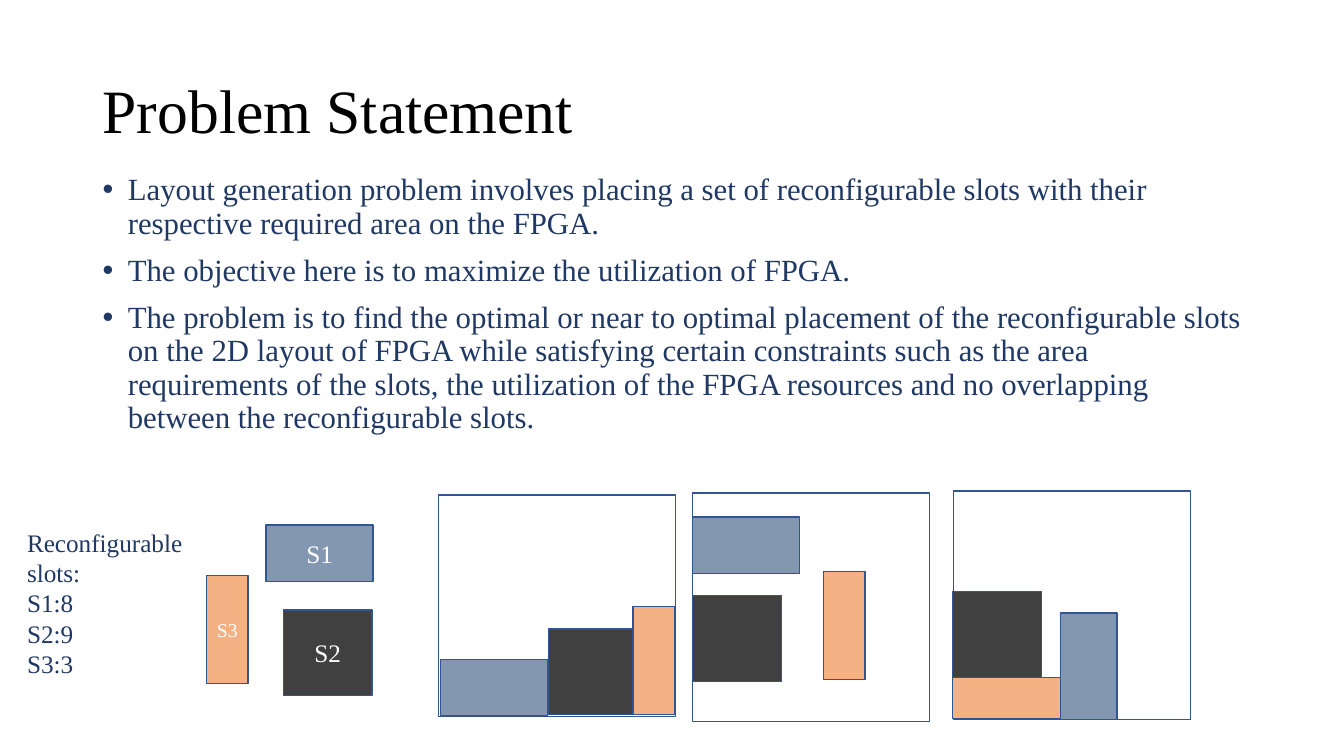
from lxml import etree
from pptx import Presentation, util as u
from pptx.dml.color import RGBColor
from pptx.enum import shapes, text
from pptx.oxml.ns import qn

PX = 9144
NAVY = "203864"
WHITE = "FFFFFF"
SLOTS = {
    "S1": (106, 56, "8497B0", 18),
    "S2": (88, 85, "404040", 18),
    "S3": (41, 107, "F4B183", 14),
}


def color(value):
    return RGBColor.from_string(value)


def write(tf, lines, size, ink, align=text.PP_ALIGN.LEFT,
          anchor=text.MSO_ANCHOR.TOP, spacing=1.0, before=0, bullet=False, wrap=True):
    tf.word_wrap = wrap
    tf.vertical_anchor = anchor
    for i, line in enumerate(lines):
        p = tf.paragraphs[0] if i == 0 else tf.add_paragraph()
        p.alignment = align
        p.line_spacing = spacing
        p.space_before = u.Pt(before)
        if bullet:
            pPr = p._p.get_or_add_pPr()
            pPr.set("marL", str(25 * PX))
            pPr.set("indent", str(-25 * PX))
            etree.SubElement(pPr, qn("a:buFont")).set("typeface", "Arial")
            etree.SubElement(pPr, qn("a:buChar")).set("char", "•")
        r = p.add_run()
        r.text = line
        r.font.name = "Times New Roman"
        r.font.size = u.Pt(size)
        r.font.color.rgb = color(ink)


prs = Presentation()
prs.slide_width, prs.slide_height = 1333 * PX, 750 * PX
s = prs.slides.add_slide(prs.slide_layouts[6])

bullets = [
    "Layout generation problem involves placing a set of reconfigurable slots with their respective required area on the FPGA.",
    "The objective here is to maximize the utilization of FPGA.",
    "The problem is to find the optimal or near to optimal placement of the reconfigurable slots on the 2D layout of FPGA while satisfying certain constraints such as the area requirements of the slots, the utilization of the FPGA resources and no overlapping between the reconfigurable slots.",
]
areas = ["Reconfigurable slots:", "S1:8", "S2:9", "S3:3"]

texts = [
    ((92, 40, 1150, 145), ["Problem Statement"], 44, "000000",
     dict(anchor=text.MSO_ANCHOR.MIDDLE, spacing=0.9)),
    ((92, 168, 1150, 476), bullets, 22, NAVY,
     dict(spacing=0.9, before=10, bullet=True)),
    ((17, 518, 184, 162), areas, 18, NAVY, {}),
]
for box, lines, size, ink, style in texts:
    tb = s.shapes.add_textbox(*[v * PX for v in box])
    write(tb.text_frame, lines, size, ink, **style)

frames = [(435, 491, 235, 220), (687, 489, 235, 227), (946, 487, 235, 227)]
legend = [("S1", 264, 521, 0), ("S2", 281, 605, 0), ("S3", 205, 571, 0)]
placed = [
    ("S1", 437, 654, 0), ("S2", 544, 624, 0), ("S3", 628, 602, 0),
    ("S1", 687, 513, 0), ("S2", 687, 591, 0), ("S3", 817, 567, 0),
    ("S3", 978, 639, 270), ("S2", 945, 587, 0), ("S1", 1027, 633, 270),
]

rects = [(box, None, 0, None) for box in frames]
for name, x, y, turn in legend + placed:
    w, h, fill, size = SLOTS[name]
    label = (name, size) if (name, x, y, turn) in legend else None
    rects.append(((x, y, w, h), fill, turn, label))

for box, fill, turn, label in rects:
    sp = s.shapes.add_shape(shapes.MSO_SHAPE.RECTANGLE, *[v * PX for v in box])
    sp.shadow.inherit = False
    sp.rotation = turn
    sp.line.color.rgb = color("325491")
    sp.line.width = u.Pt(1)
    if fill:
        sp.fill.solid()
        sp.fill.fore_color.rgb = color(fill)
    else:
        sp.fill.background()
    if label:
        write(sp.text_frame, [label[0]], label[1], WHITE, wrap=False,
              align=text.PP_ALIGN.CENTER, anchor=text.MSO_ANCHOR.MIDDLE)

prs.save("out.pptx")
